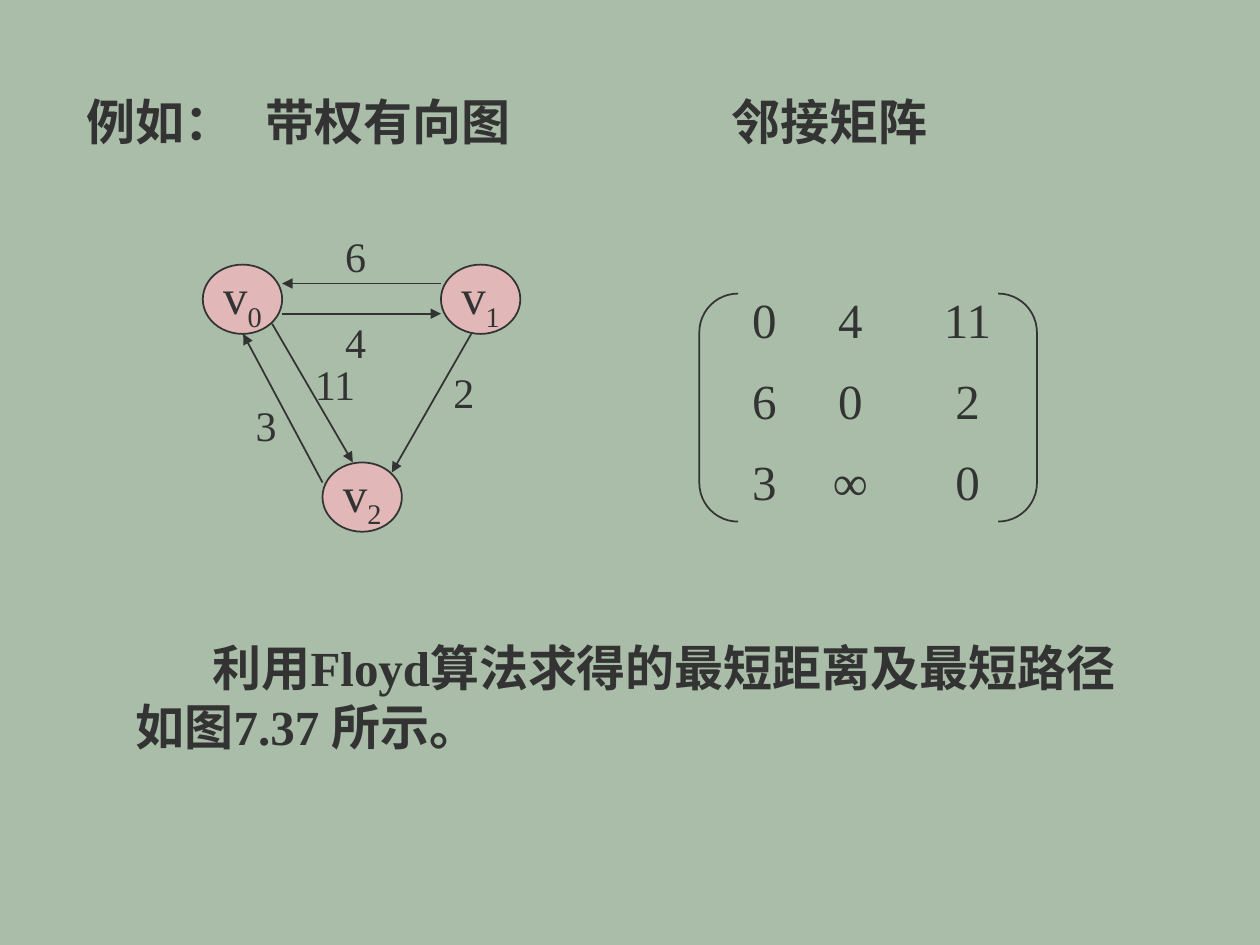
from lxml.etree import SubElement
from pptx import Presentation
from pptx.dml.color import RGBColor
from pptx.enum.shapes import MSO_CONNECTOR, MSO_SHAPE
from pptx.enum.text import MSO_ANCHOR, MSO_AUTO_SIZE, PP_ALIGN
from pptx.oxml.ns import qn
from pptx.util import Inches, Pt

COLORS = {"background": "A9BDA9", "ink": "333333", "node": "E1B7B7"}
FONT = "Times New Roman"

TITLE = ("例如：", (0.59, 0.68, 1.42, 0.57))
HEADINGS = [
    ("带权有向图", (2.01, 0.68, 2.44, 0.57)),
    ("邻接矩阵", (5.71, 0.68, 2.44, 0.57)),
]
CONCLUSION = ("利用Floyd算法求得的最短距离及最短路径如图7.37 所示。", (0.98, 5.01, 8.35, 1.03))
CONCLUSION_INDENT = 0.61

NODE_SIZE = (0.63, 0.55)
NODES = [("0", (1.61, 2.1)), ("1", (3.5, 2.1)), ("2", (2.56, 3.67))]
# weight, start, end, label position, label width
EDGES = [
    ("4", (2.24, 2.49), (3.5, 2.49), (2.64, 2.46), 0.39),
    ("6", (3.5, 2.25), (2.24, 2.25), (2.64, 1.78), 0.39),
    ("11", (2.16, 2.57), (2.8, 3.67), (2.4, 2.8), 0.71),
    ("3", (2.56, 3.83), (1.93, 2.65), (1.93, 3.12), 0.39),
    ("2", (3.74, 2.65), (3.11, 3.75), (3.5, 2.86), 0.39),
]
LABEL_HEIGHT = 0.5

MATRIX = [("0", "4", "11"), ("6", "0", "2"), ("3", "∞", "0")]
MATRIX_BOX = (5.87, 2.25, 2.52, 1.88)
MATRIX_TABS = (0.78, 1.71)
BRACKET_BOX = (5.55, 2.33, 2.68, 1.81)


def inches(values):
    return [Inches(value) for value in values]


def rgb(name):
    return RGBColor.from_string(COLORS[name])


def format_font(font, size, bold=False):
    for attribute, value in {"name": FONT, "size": Pt(size), "bold": bold}.items():
        setattr(font, attribute, value)
    font.color.rgb = rgb("ink")


def add_text(slide, text, box, size=28, bold=False):
    frame = slide.shapes.add_textbox(*inches(box)).text_frame
    frame.word_wrap = True
    paragraph = frame.paragraphs[0]
    paragraph.text = text
    format_font(paragraph.font, size, bold)
    return frame


def set_outline(shape):
    shape.line.color.rgb = rgb("ink")
    shape.line.width = Pt(1)


def add_title(slide):
    text, box = TITLE
    title = slide.shapes.title
    title.left, title.top, title.width, title.height = inches(box)
    title.text = text
    frame = title.text_frame
    frame.auto_size = MSO_AUTO_SIZE.NONE
    frame.vertical_anchor = MSO_ANCHOR.TOP
    frame.paragraphs[0].alignment = PP_ALIGN.LEFT
    format_font(frame.paragraphs[0].font, 28, True)


def add_node(slide, subscript, position):
    node = slide.shapes.add_shape(MSO_SHAPE.OVAL, *inches(position + NODE_SIZE))
    node.shadow.inherit = False
    node.fill.solid()
    node.fill.fore_color.rgb = rgb("node")
    set_outline(node)
    frame = node.text_frame
    frame.word_wrap = False
    frame.vertical_anchor = MSO_ANCHOR.MIDDLE
    paragraph = frame.paragraphs[0]
    paragraph.alignment = PP_ALIGN.CENTER
    for text in ("v", subscript):
        run = paragraph.add_run()
        run.text = text
        format_font(run.font, 28)
    run.font._element.set("baseline", "-25000")


def add_edge(slide, start, end):
    edge = slide.shapes.add_connector(MSO_CONNECTOR.STRAIGHT, *inches(start + end))
    set_outline(edge)
    SubElement(edge.line._get_or_add_ln(), qn("a:tailEnd"), type="triangle")
    SubElement(edge._element.spPr, qn("a:effectLst"))


def add_matrix(slide):
    frame = slide.shapes.add_textbox(*inches(MATRIX_BOX)).text_frame
    frame.word_wrap = True
    for index, row in enumerate(MATRIX):
        paragraph = frame.add_paragraph() if index else frame.paragraphs[0]
        paragraph.text = "\t".join(row)
        if index:
            paragraph.space_before = Pt(12.7)
        tabs = SubElement(paragraph._p.get_or_add_pPr(), qn("a:tabLst"))
        for stop in MATRIX_TABS:
            SubElement(tabs, qn("a:tab"), pos=str(Inches(stop)), algn="ctr")
        format_font(paragraph.font, 28)
    brackets = slide.shapes.add_shape(MSO_SHAPE.DOUBLE_BRACKET, *inches(BRACKET_BOX))
    brackets.shadow.inherit = False
    brackets.adjustments[0] = 0.17
    brackets.fill.background()
    set_outline(brackets)


def main():
    presentation = Presentation()
    presentation.slide_width, presentation.slide_height = inches((10, 7.5))
    slide = presentation.slides.add_slide(presentation.slide_layouts[5])
    slide.background.fill.solid()
    slide.background.fill.fore_color.rgb = rgb("background")

    add_title(slide)
    for text, box in HEADINGS:
        add_text(slide, text, box, bold=True)
    for subscript, position in NODES:
        add_node(slide, subscript, position)
    for weight, start, end, label_position, label_width in EDGES:
        add_edge(slide, start, end)
        add_text(slide, weight, label_position + (label_width, LABEL_HEIGHT), size=24)
    add_matrix(slide)
    conclusion = add_text(slide, *CONCLUSION, bold=True)
    conclusion.paragraphs[0]._p.get_or_add_pPr().set("indent", str(Inches(CONCLUSION_INDENT)))
    presentation.save("out.pptx")


if __name__ == "__main__":
    main()
